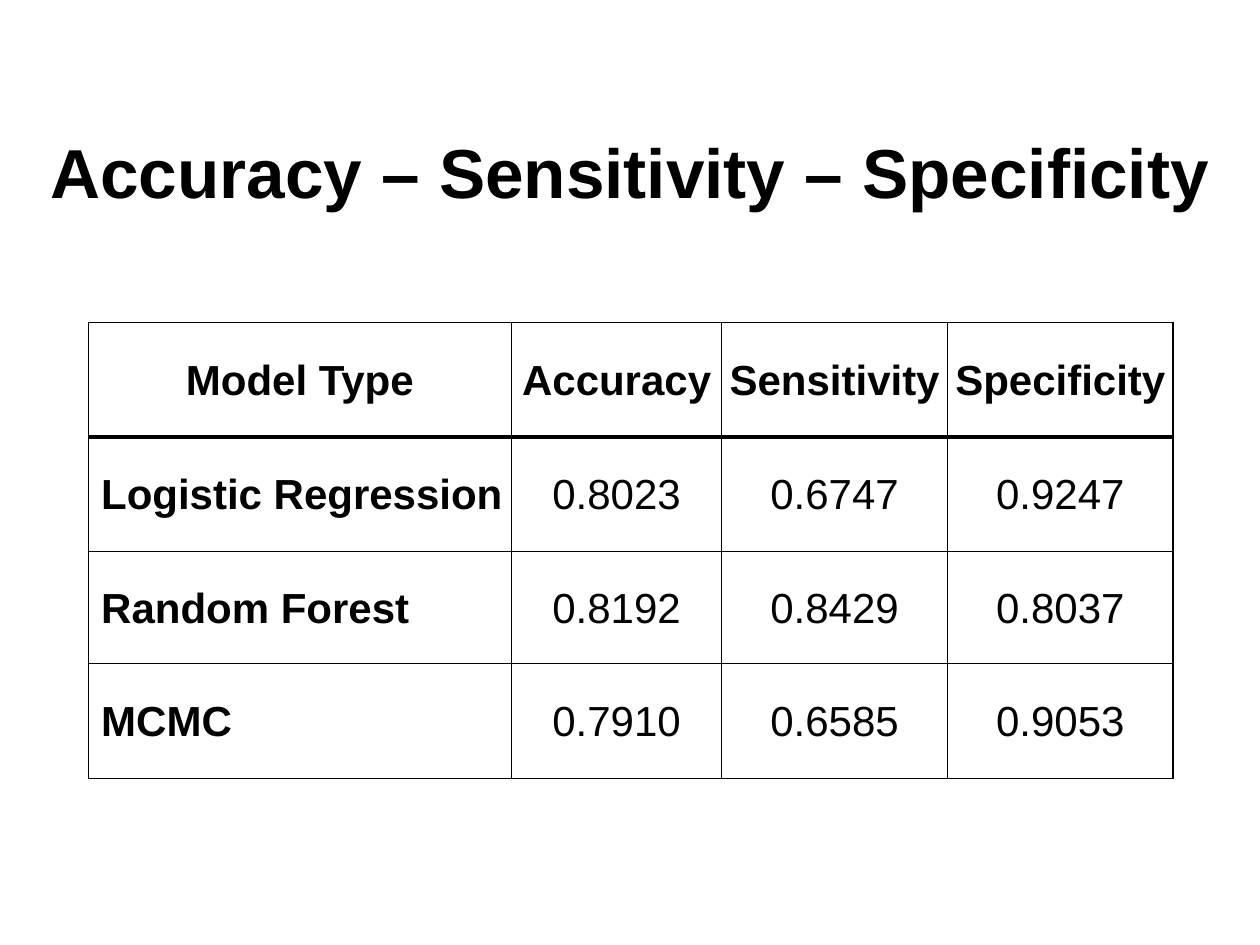
import pptx
import pptx.dml.color
import pptx.enum.text
import pptx.oxml.ns
import pptx.util
from lxml import etree
from pptx.util import Cm

ALIGN = pptx.enum.text.PP_ALIGN
MIDDLE = pptx.enum.text.MSO_ANCHOR.MIDDLE

HEADINGS = ["Model Type", "Accuracy", "Sensitivity", "Specificity"]
MODELS = [
    ["Logistic Regression", "0.8023", "0.6747", "0.9247"],
    ["Random Forest", "0.8192", "0.8429", "0.8037"],
    ["MCMC", "0.7910", "0.6585", "0.9053"],
]
COLUMN_WIDTHS = [8.53, 4.24, 4.55, 4.55]
ROW_HEIGHTS = [2.31, 2.31, 2.26, 2.31]
# Widths in points of the grid lines, outer edges included
VERTICAL_LINES = [1, 1, 0.5, 0.5, 1]
HORIZONTAL_LINES = [1, 2, 0.5, 0.5, 1]


def color(value):
    return pptx.dml.color.RGBColor.from_string(value)


class SlideBuilder:
    font_name = "Arial"
    ink = "000000"
    paper = "FFFFFF"

    def __init__(self, deck):
        self.page = deck.slides.add_slide(deck.slide_layouts[5])
        self.page.background.fill.solid()
        self.page.background.fill.fore_color.rgb = color(self.paper)

    def format_paragraph(self, paragraph, size, bold, align):
        paragraph.alignment = align
        font = paragraph.font
        font.name, font.size, font.bold = self.font_name, pptx.util.Pt(size), bold
        font.color.rgb = color(self.ink)

    def title(self, text, left, top, width, height):
        box = self.page.shapes.title
        box.left, box.top, box.width, box.height = map(Cm, (left, top, width, height))
        frame = box.text_frame
        frame.text = text
        frame.vertical_anchor = MIDDLE
        frame.paragraphs[0].line_spacing = 0.9
        self.format_paragraph(frame.paragraphs[0], 39.6, True, ALIGN.CENTER)

    def border(self, cell, side, points):
        properties = cell._tc.get_or_add_tcPr()
        qn = pptx.oxml.ns.qn
        line = etree.SubElement(properties, qn(f"a:ln{side}"), w=str(pptx.util.Pt(points)))
        fill = etree.SubElement(line, qn("a:solidFill"))
        etree.SubElement(fill, qn("a:srgbClr"), val=self.ink)

    def cell(self, cell, text, row, column):
        is_model = row > 0 and column == 0
        cell.text = text
        cell.vertical_anchor = MIDDLE
        cell.margin_left = Cm(0.26 if is_model else 0.03)
        cell.margin_top = cell.margin_right = Cm(0.03)
        cell.margin_bottom = 0
        self.format_paragraph(cell.text_frame.paragraphs[0], 24, row == 0 or column == 0,
                              ALIGN.LEFT if is_model else ALIGN.CENTER)
        self.border(cell, "L", VERTICAL_LINES[column])
        self.border(cell, "R", VERTICAL_LINES[column + 1])
        self.border(cell, "T", HORIZONTAL_LINES[row])
        self.border(cell, "B", HORIZONTAL_LINES[row + 1])
        cell.fill.background()  # must follow the borders in the XML

    def table(self, rows, left, top):
        frame = self.page.shapes.add_table(
            len(rows), len(COLUMN_WIDTHS), Cm(left), Cm(top),
            Cm(sum(COLUMN_WIDTHS)), Cm(sum(ROW_HEIGHTS)))
        table = frame.table
        table.first_row = table.horz_banding = False
        for column, width in zip(table.columns, COLUMN_WIDTHS):
            column.width = Cm(width)
        for row, height in zip(table.rows, ROW_HEIGHTS):
            row.height = Cm(height)
        for r, texts in enumerate(rows):
            for c, text in enumerate(texts):
                self.cell(table.cell(r, c), text, r, c)


def main():
    deck = pptx.Presentation()
    deck.slide_width, deck.slide_height = Cm(25.4), Cm(19.05)
    slide = SlideBuilder(deck)
    slide.title("Accuracy – Sensitivity – Specificity", 0, 1.96, 25.4, 3.18)
    slide.table([HEADINGS] + MODELS, 1.78, 6.5)
    deck.save("out.pptx")


if __name__ == "__main__":
    main()
